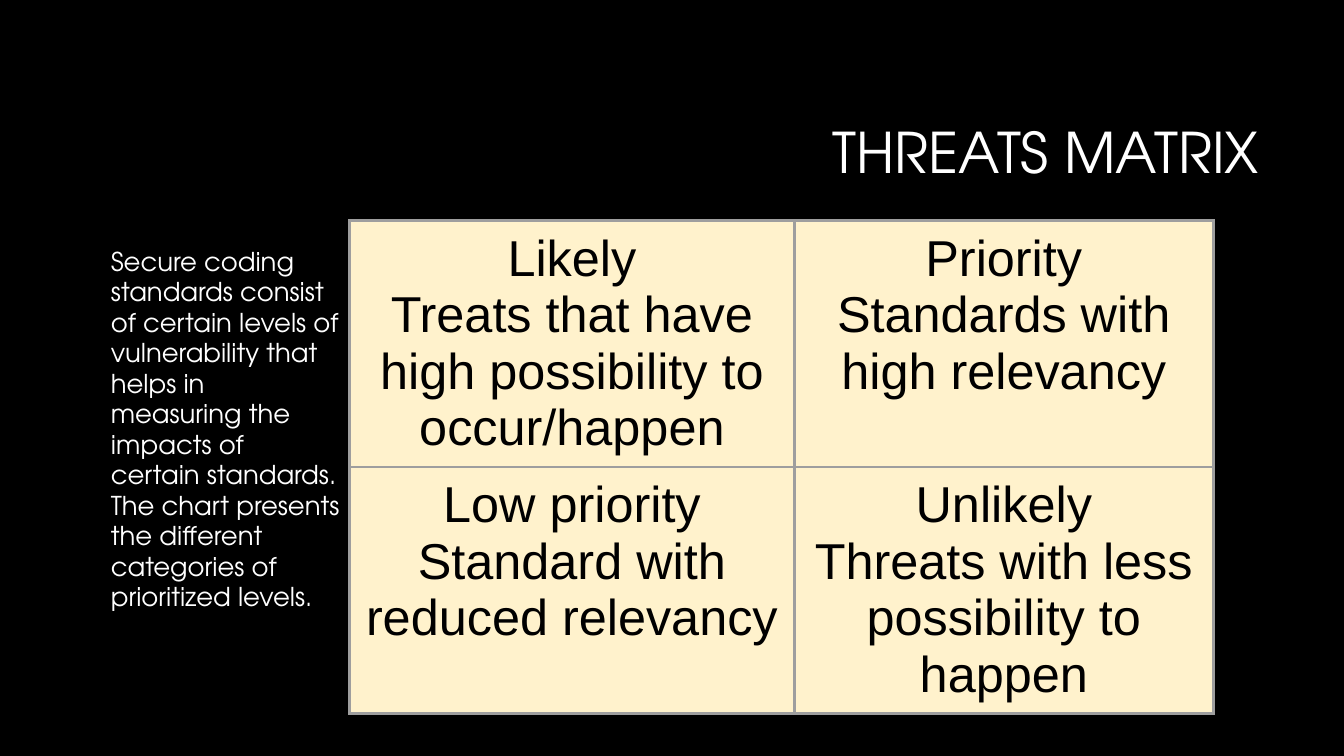
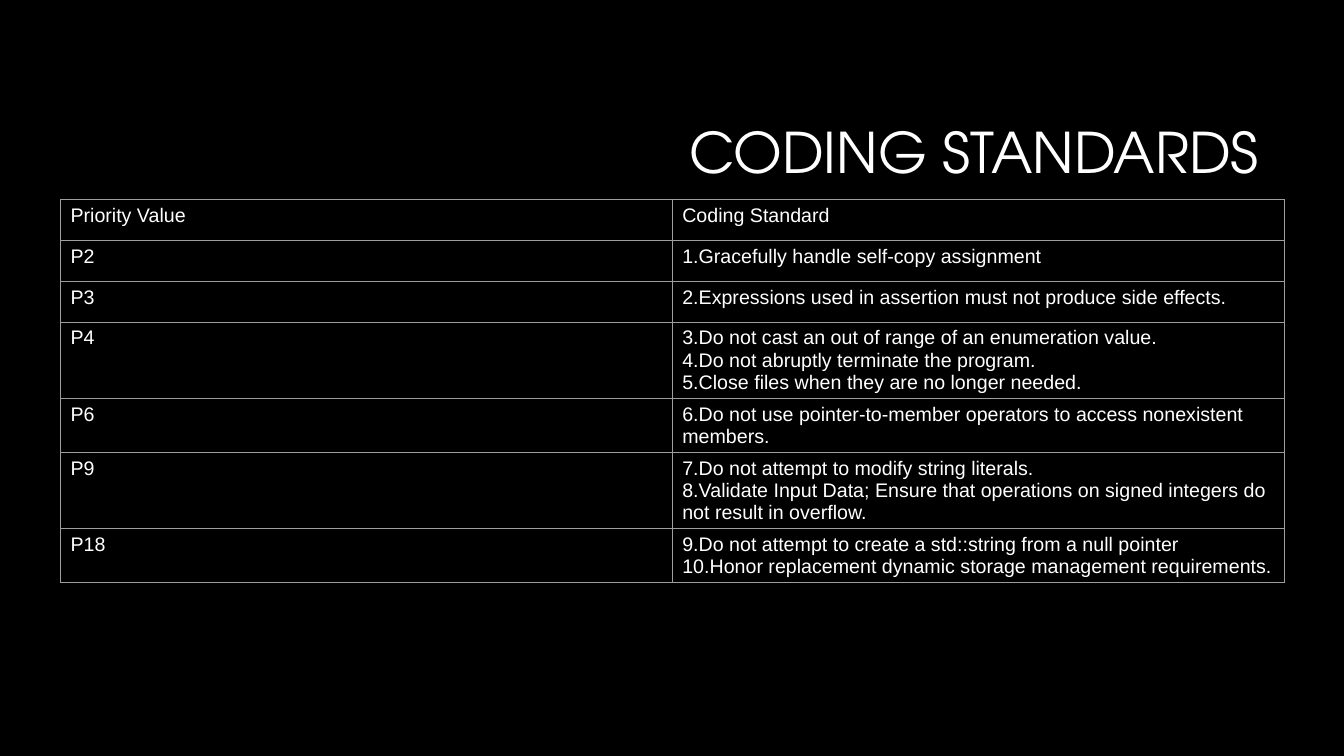
from dataclasses import dataclass

import lxml.etree
import pptx
import pptx.dml.color
import pptx.enum.text
import pptx.oxml.ns
import pptx.slide
import pptx.table
import pptx.text.text
import pptx.util

Pt = pptx.util.Pt
Align = pptx.enum.text.PP_ALIGN
Anchor = pptx.enum.text.MSO_ANCHOR

# Shared look
BLACK, WHITE, CREAM, GREY = "000000", "FFFFFF", "FFF2CC", "9E9E9E"
HEADING_FONT, TABLE_FONT = "TeX Gyre Adventor", "Arial"
TITLE_AND_BODY, TITLE_ONLY = 1, 5


@dataclass(frozen=True)
class Box:
    left: float
    top: float
    width: float
    height: float


@dataclass(frozen=True)
class TextStyle:
    font: str
    size: float
    color: str
    align: Align = Align.LEFT
    line_spacing: float = 1.0


@dataclass(frozen=True)
class Grid:
    left: float
    top: float
    columns: tuple[float, ...]
    row_height: float
    rows: tuple[tuple[str, ...], ...]
    style: TextStyle
    border: float
    fill: str | None = None
    margin_y: float = 3.6


TITLE_BOX = Box(228.2, 60.5, 678.2, 101.5)
TITLE_STYLE = TextStyle(HEADING_FONT, 40, WHITE, Align.RIGHT, 0.9)
BODY_BOX = Box(54, 172.8, 195.8, 316.8)
BODY_STYLE = TextStyle(HEADING_FONT, 18.5, WHITE, line_spacing=0.98)

# Content
MATRIX_INTRO = (
    "Secure coding standards consist of certain levels of vulnerability that "
    "helps in measuring the impacts of certain standards. The chart presents "
    "the different categories of prioritized levels."
)
THREATS = Grid(
    left=249.8, top=157.7, columns=(317.5, 299.5), row_height=176,
    rows=(
        ("Likely\nTreats that have high possibility to occur/happen",
         "Priority\nStandards with high relevancy"),
        ("Low priority\nStandard with reduced relevancy",
         "Unlikely\nThreats with less possibility to happen"),
    ),
    style=TextStyle(TABLE_FONT, 36, BLACK, Align.CENTER),
    border=2.25, fill=CREAM, margin_y=7.2,
)
STANDARDS = Grid(
    left=43.2, top=142.5, columns=(437, 437), row_height=29.2,
    rows=(
        ("Priority Value", "Coding Standard"),
        ("P2", "1.Gracefully handle self-copy assignment"),
        ("P3", "2.Expressions used in assertion must not produce side effects."),
        ("P4", "3.Do not cast an out of range of an enumeration value.\n"
               "4.Do not abruptly terminate the program.\n"
               "5.Close files when they are no longer needed."),
        ("P6", "6.Do not use pointer-to-member operators to access nonexistent members."),
        ("P9", "7.Do not attempt to modify string literals.\n"
               "8.Validate Input Data; Ensure that operations on signed integers "
               "do not result in overflow."),
        ("P18", "9.Do not attempt to create a std::string from a null pointer\n"
                "10.Honor replacement dynamic storage management requirements."),
    ),
    style=TextStyle(TABLE_FONT, 14, WHITE), border=0.75,
)


def rgb(color: str) -> pptx.dml.color.RGBColor:
    return pptx.dml.color.RGBColor.from_string(color)


def write(frame: pptx.text.text.TextFrame, text: str, style: TextStyle) -> None:
    """Fill a text frame and format every run alike."""
    frame.text = text
    for paragraph in frame.paragraphs:
        paragraph.alignment = style.align
        paragraph.line_spacing = style.line_spacing
        paragraph.space_before = Pt(0)
        for run in paragraph.runs:
            run.font.name = style.font
            run.font.size = Pt(style.size)
            run.font.color.rgb = rgb(style.color)


def fill_placeholder(holder, box: Box, text: str, style: TextStyle, anchor: Anchor) -> None:
    holder.left, holder.top = Pt(box.left), Pt(box.top)
    holder.width, holder.height = Pt(box.width), Pt(box.height)
    write(holder.text_frame, text, style)
    holder.text_frame.auto_size = pptx.enum.text.MSO_AUTO_SIZE.NONE
    holder.text_frame.vertical_anchor = anchor


def add_titled_slide(deck, layout: int, title: str) -> pptx.slide.Slide:
    slide = deck.slides.add_slide(deck.slide_layouts[layout])
    fill_placeholder(slide.shapes.title, TITLE_BOX, title, TITLE_STYLE, Anchor.MIDDLE)
    return slide


def add_body(slide: pptx.slide.Slide, text: str) -> None:
    """Body paragraph, indented and without a bullet."""
    body = slide.placeholders[1]
    fill_placeholder(body, BODY_BOX, text, BODY_STYLE, Anchor.TOP)
    for paragraph in body.text_frame.paragraphs:
        properties = paragraph._p.get_or_add_pPr()
        properties.set("marL", str(Pt(18)))
        properties.set("indent", "0")
        lxml.etree.SubElement(properties, pptx.oxml.ns.qn("a:buNone"))


def set_borders(cell: pptx.table._Cell, width: float, color: str) -> None:
    """Borders come before the fill in the cell properties."""
    qn = pptx.oxml.ns.qn
    properties = cell._tc.get_or_add_tcPr()
    for position, side in enumerate(("lnL", "lnR", "lnT", "lnB")):
        line = lxml.etree.Element(qn(f"a:{side}"), w=str(Pt(width)))
        solid = lxml.etree.SubElement(line, qn("a:solidFill"))
        lxml.etree.SubElement(solid, qn("a:srgbClr"), val=color)
        properties.insert(position, line)


def add_grid(slide: pptx.slide.Slide, grid: Grid) -> None:
    table = slide.shapes.add_table(
        len(grid.rows), len(grid.columns), Pt(grid.left), Pt(grid.top),
        Pt(sum(grid.columns)), Pt(grid.row_height * len(grid.rows)),
    ).table
    table.first_row = table.horz_banding = False
    for column, width in zip(table.columns, grid.columns):
        column.width = Pt(width)
    for row, texts in zip(table.rows, grid.rows):
        row.height = Pt(grid.row_height)
        for cell, text in zip(row.cells, texts):
            write(cell.text_frame, text, grid.style)
            cell.margin_top = cell.margin_bottom = Pt(grid.margin_y)
            if grid.fill:
                cell.fill.solid()
                cell.fill.fore_color.rgb = rgb(grid.fill)
            else:
                cell.fill.background()
            set_borders(cell, grid.border, GREY)


def main() -> None:
    deck = pptx.Presentation()
    deck.slide_width, deck.slide_height = Pt(960), Pt(540)
    backdrop = deck.slide_master.background.fill
    backdrop.solid()
    backdrop.fore_color.rgb = rgb(BLACK)

    # Threats matrix
    matrix = add_titled_slide(deck, TITLE_AND_BODY, "THREATS MATRIX")
    add_body(matrix, MATRIX_INTRO)
    add_grid(matrix, THREATS)

    # Coding standards
    standards = add_titled_slide(deck, TITLE_ONLY, "CODING STANDARDS")
    add_grid(standards, STANDARDS)

    deck.save("out.pptx")


if __name__ == "__main__":
    main()
